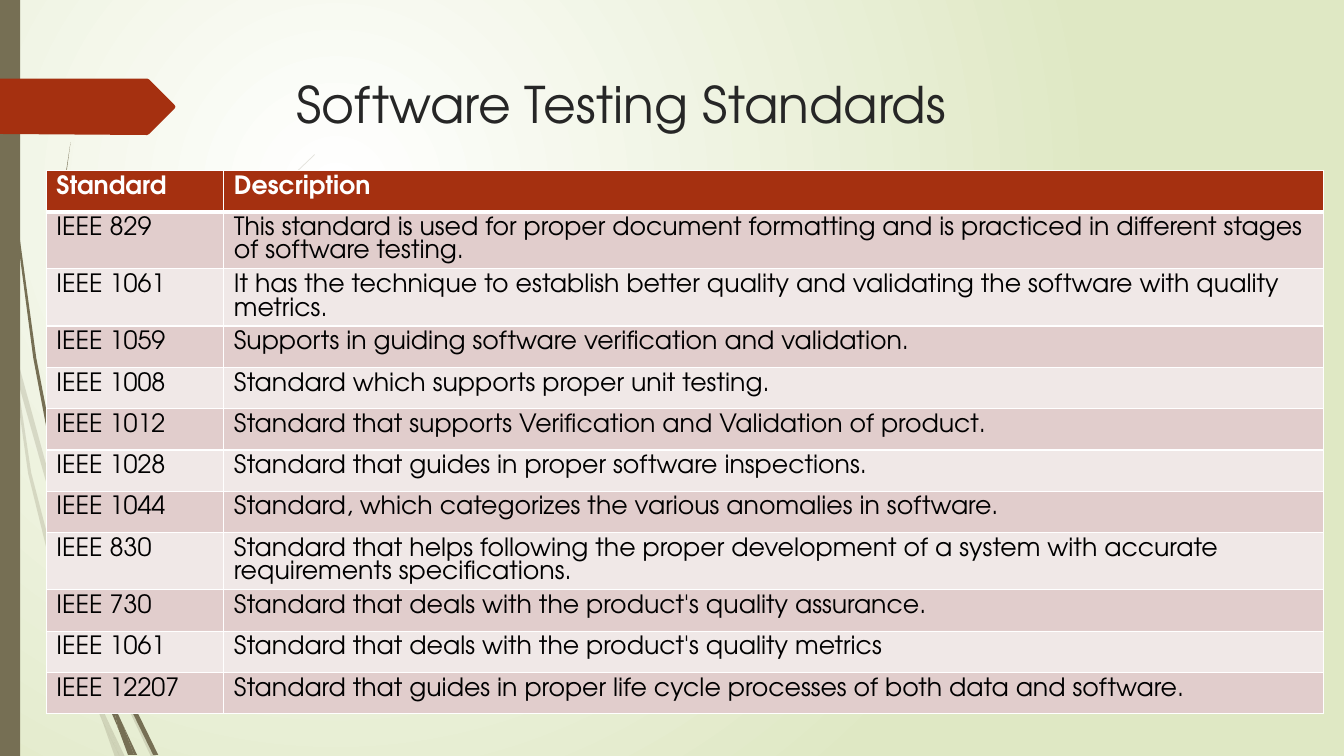
from dataclasses import dataclass
from typing import NamedTuple

from lxml import etree
from pptx import Presentation
from pptx.dml.color import RGBColor
from pptx.enum.shapes import MSO_SHAPE
from pptx.enum.text import MSO_ANCHOR, PP_ALIGN
from pptx.oxml import parse_xml
from pptx.oxml.ns import nsdecls, qn
from pptx.util import Inches, Pt

RECTANGLE = MSO_SHAPE.RECTANGLE
TOP = MSO_ANCHOR.TOP
LEFT = PP_ALIGN.LEFT

# The slide is a grid of small square cells; all lengths count its columns and rows.
GRID_COLUMNS, GRID_ROWS = 1333, 750
CELL = Inches(0.01)


@dataclass(frozen=True)
class Theme:
    font: str = "TeX Gyre Adventor"
    title_size: int = 36
    table_size: int = 18
    title: str = "262626"
    text: str = "000000"
    light: str = "FFFFFF"
    background_edge: str = "DFE8C4"
    accent: str = "A53010"
    stem: str = "766F54"
    bands: tuple[str, str] = ("E1CDCC", "F0E8E7")


class Standard(NamedTuple):
    code: str
    description: str


class Wisp(NamedTuple):
    """A closed grass outline; its opacity is a percentage."""
    opacity: int
    points: list[tuple[int, int]]


THEME = Theme()
TITLE_BOX = (284, 68, 975, 100)
STEM_BOX = (0, 0, 20, GRID_ROWS)
TABLE_BOX = (46, 169, 1267, 492)
TABLE_COLUMNS = (176, 1091)
TABLE_ROW = 41
TAG = [(0, 78), (146, 78), (148, 79), (173, 104), (174, 106), (173, 108),
       (148, 133), (146, 134), (0, 133)]

HEADER = Standard("Standard", "Description")
STANDARDS = [
    Standard("IEEE 829", "This standard is used for proper document formatting and is "
             "practiced in different stages of software testing."),
    Standard("IEEE 1061", "It has the technique to establish better quality and validating "
             "the software with quality metrics."),
    Standard("IEEE 1059", "Supports in guiding software verification and validation."),
    Standard("IEEE 1008", "Standard which supports proper unit testing."),
    Standard("IEEE 1012", "Standard that supports Verification and Validation of product."),
    Standard("IEEE 1028", "Standard that guides in proper software inspections."),
    Standard("IEEE 1044", "Standard, which categorizes the various anomalies in software."),
    Standard("IEEE 830", "Standard that helps following the proper development of a system "
             "with accurate requirements specifications."),
    Standard("IEEE 730", "Standard that deals with the product's quality assurance."),
    Standard("IEEE 1061", "Standard that deals with the product's quality metrics"),
    Standard("IEEE 12207", "Standard that guides in proper life cycle processes of both "
             "data and software."),
]

FAINT, SOLID = 20, 100
WISPS = [
    Wisp(FAINT, [(11, 350), (9, 322), (0, 282), (0, 299), (10, 344)]),
    Wisp(FAINT, [(58, 522), (84, 599), (85, 586), (62, 520), (14, 345), (17, 376)]),
    Wisp(FAINT, [(92, 607), (88, 596), (88, 610), (123, 694), (150, 751), (155, 751),
                 (127, 692)]),
    Wisp(FAINT, [(119, 751), (124, 751), (105, 711)]),
    Wisp(FAINT, [(93, 683), (70, 619), (31, 469), (17, 376), (11, 350), (28, 470),
                 (65, 621), (92, 693), (101, 714), (99, 707)]),
    Wisp(FAINT, [(84, 599), (87, 646), (93, 683), (96, 692), (105, 711), (103, 706),
                 (91, 646), (88, 610), (88, 608)]),
    Wisp(FAINT, [(88, 584), (110, 462), (160, 349), (229, 245), (268, 198), (290, 175),
                 (312, 154), (312, 153), (289, 175), (268, 197), (228, 244), (158, 348),
                 (107, 461), (85, 584), (85, 586), (88, 596)]),
    Wisp(FAINT, [(101, 714), (114, 751), (119, 751)]),
    Wisp(FAINT, [(96, 692), (93, 683), (99, 707), (101, 714), (119, 751), (105, 711)]),
    Wisp(SOLID, [(7, 110), (17, 233), (33, 355), (56, 477), (57, 481), (55, 457),
                 (55, 453), (36, 355), (19, 232), (8, 109), (5, 48), (4, 0), (3, 0),
                 (4, 48)]),
    Wisp(SOLID, [(113, 649), (110, 641), (111, 656), (132, 708), (152, 749), (157, 749),
                 (136, 706)]),
    Wisp(SOLID, [(110, 691), (98, 657), (72, 556), (64, 505), (57, 477), (68, 557),
                 (93, 659), (111, 708), (117, 722), (116, 717)]),
    Wisp(SOLID, [(60, 472), (58, 453), (54, 349), (58, 245), (63, 193), (70, 141),
                 (62, 193), (56, 245), (52, 349), (55, 449)]),
    Wisp(SOLID, [(133, 749), (136, 749), (122, 719)]),
    Wisp(SOLID, [(117, 722), (127, 749), (131, 749)]),
    Wisp(SOLID, [(116, 706), (110, 691), (116, 717), (117, 722), (130, 749), (133, 749),
                 (122, 719)]),
]


def scaled(box: tuple[int, int, int, int]) -> list[int]:
    return [length * CELL for length in box]


def paint(shape, color: str, opacity: int = 100) -> None:
    shape.shadow.inherit = False
    shape.line.fill.background()
    shape.fill.solid()
    shape.fill.fore_color.rgb = RGBColor.from_string(color)
    if opacity < 100:
        color_element = shape.fill._xPr.find(f".//{qn('a:srgbClr')}")
        etree.SubElement(color_element, qn("a:alpha"), val=str(opacity * 1000))


def draw_outline(slide, points: list[tuple[int, int]], color: str, opacity: int = 100) -> None:
    builder = slide.shapes.build_freeform(*points[0], scale=float(CELL))
    builder.add_line_segments(points[1:], close=True)
    paint(builder.convert_to_shape(), color, opacity)


def write_text(frame, text: str, *, size: int, color: str, bold: bool = False) -> None:
    paragraph = frame.paragraphs[0]
    paragraph.alignment = LEFT
    run = paragraph.add_run()
    run.text = text
    font = run.font
    font.name, font.size, font.bold = THEME.font, Pt(size), bold
    font.color.rgb = RGBColor.from_string(color)


def set_background(slide) -> None:
    """Fill the background with a light circle that darkens outwards."""
    fill = slide.background.fill
    fill.gradient()
    for stop, color in zip(fill.gradient_stops, (THEME.light, THEME.background_edge)):
        stop.color.rgb = RGBColor.from_string(color)
    linear = slide.background._cSld.find(f".//{qn('a:lin')}")
    linear.getparent().replace(linear, parse_xml(
        f'<a:path {nsdecls("a")} path="circle">'
        '<a:fillToRect l="50000" t="50000" r="100000" b="100000"/></a:path>'))


def set_borders(cell, bottom: int) -> None:
    properties = cell._tc.get_or_add_tcPr()
    for index, (side, width) in enumerate(zip("LRTB", (1, 1, 1, bottom))):
        properties.insert(index, parse_xml(
            f'<a:ln{side} {nsdecls("a")} w="{Pt(width)}"><a:solidFill>'
            f'<a:srgbClr val="{THEME.light}"/></a:solidFill></a:ln{side}>'))


def draw_table(slide) -> None:
    rows = [HEADER, *STANDARDS]
    table = slide.shapes.add_table(len(rows), len(TABLE_COLUMNS), *scaled(TABLE_BOX)).table
    for column, width in zip(table.columns, TABLE_COLUMNS):
        column.width = width * CELL
    for index, standard in enumerate(rows):
        table.rows[index].height = TABLE_ROW * CELL
        header = index == 0
        fill_color = THEME.accent if header else THEME.bands[(index - 1) % 2]
        for cell, text in zip(table.rows[index].cells, standard):
            cell.fill.solid()
            cell.fill.fore_color.rgb = RGBColor.from_string(fill_color)
            set_borders(cell, bottom=3 if header else 1)
            write_text(cell.text_frame, text, size=THEME.table_size, bold=header,
                       color=THEME.light if header else THEME.text)


def main() -> None:
    presentation = Presentation()
    presentation.slide_width = GRID_COLUMNS * CELL
    presentation.slide_height = GRID_ROWS * CELL
    slide = presentation.slides.add_slide(presentation.slide_layouts.get_by_name("Title Only"))
    set_background(slide)
    for wisp in WISPS:
        draw_outline(slide, wisp.points, THEME.stem, wisp.opacity)
    paint(slide.shapes.add_shape(RECTANGLE, *scaled(STEM_BOX)), THEME.stem)
    draw_outline(slide, TAG, THEME.accent)
    title = slide.shapes.title
    title.left, title.top, title.width, title.height = scaled(TITLE_BOX)
    title.text_frame.vertical_anchor = TOP
    write_text(title.text_frame, "Software Testing Standards", size=THEME.title_size,
               color=THEME.title)
    draw_table(slide)
    presentation.save("out.pptx")


if __name__ == "__main__":
    main()
